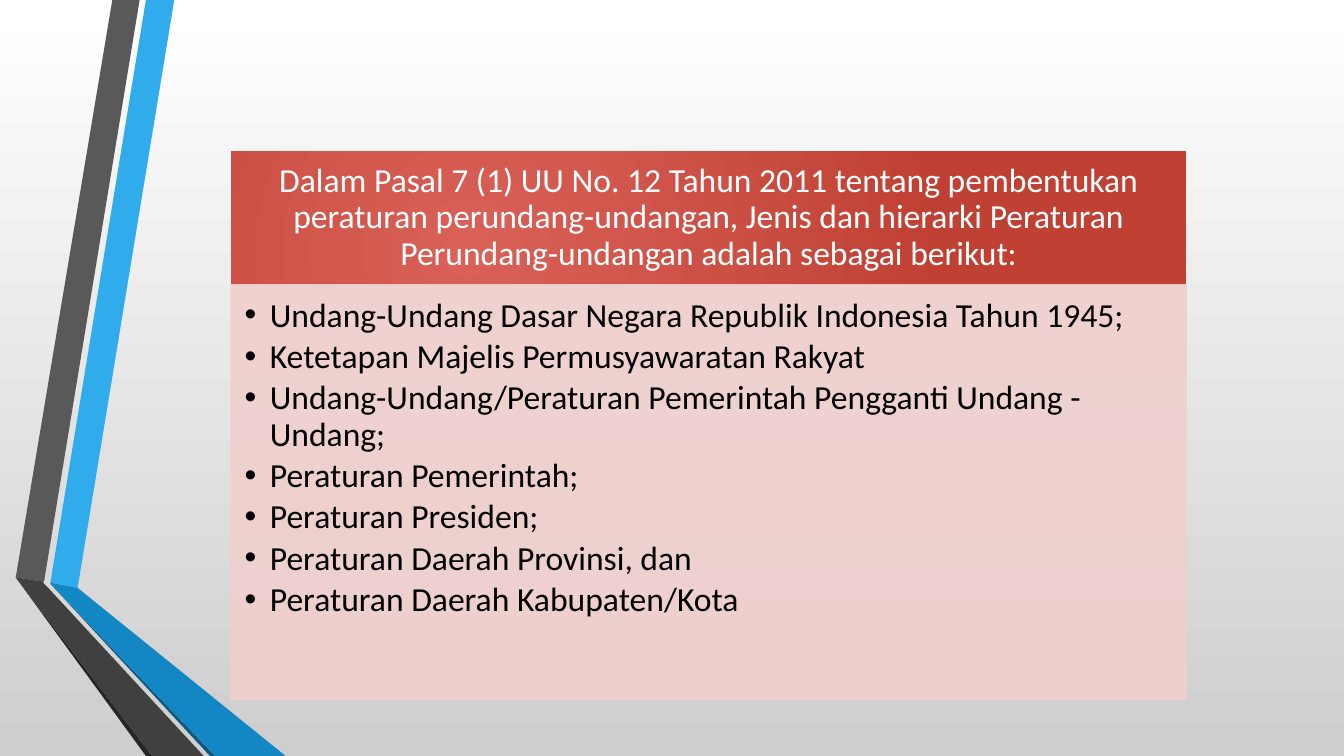
from dataclasses import dataclass

from lxml import etree
from pptx import Presentation
from pptx.dml.color import RGBColor
from pptx.enum.shapes import MSO_SHAPE
from pptx.enum.text import MSO_ANCHOR, MSO_AUTO_SIZE, PP_ALIGN
from pptx.oxml.ns import qn
from pptx.util import Pt

PX = 9525
SLIDE_WIDTH, SLIDE_HEIGHT = 1280, 720
TITLE_ONLY = 5
RECTANGLE = MSO_SHAPE.RECTANGLE
TOP, MIDDLE = MSO_ANCHOR.TOP, MSO_ANCHOR.MIDDLE
LEFT, CENTER = PP_ALIGN.LEFT, PP_ALIGN.CENTER
NO_AUTOFIT = MSO_AUTO_SIZE.NONE


@dataclass(frozen=True)
class Theme:
    """Colours and type used on the slide."""
    font: str = "Calibri"
    text_size: int = 24
    line_spacing: float = 0.9
    item_gap: float = 3.6
    background: tuple = ("FFFFFF", "CECECE")
    header: tuple = ("D96157", "C04033")
    header_text: str = "FFFFFF"
    body: str = "F0D0CE"
    body_opacity: int = 90
    body_text: str = "000000"


THEME = Theme()

RIBBONS = [
    ("30ACEC", [(48, 555), (74, 560), (166, 0), (139, 0)]),
    ("595959", [(133, 0), (107, 0), (15, 550), (42, 554)]),
    ("262626", [(15, 550), (139, 720), (145, 720)]),
    ("0C5A82", [(48, 556), (200, 720), (205, 720)]),
    ("1287C3", [(48, 555), (48, 556), (205, 720), (272, 720), (74, 560)]),
    ("404040", [(194, 720), (46, 560), (41, 555), (42, 554), (15, 550), (145, 720)]),
]

HEADING = (
    "Dalam Pasal 7 (1) UU No. 12 Tahun 2011 tentang pembentukan peraturan "
    "perundang-undangan, Jenis dan hierarki Peraturan Perundang-undangan "
    "adalah sebagai berikut:"
)
REGULATIONS = [
    "Undang-Undang Dasar Negara Republik Indonesia Tahun 1945;",
    "Ketetapan Majelis Permusyawaratan Rakyat",
    "Undang-Undang/Peraturan Pemerintah Pengganti Undang - Undang;",
    "Peraturan Pemerintah;",
    "Peraturan Presiden;",
    "Peraturan Daerah Provinsi, dan",
    "Peraturan Daerah Kabupaten/Kota",
]


def set_gradient(fill, colors):
    """Give a fill a two-colour gradient."""
    fill.gradient()
    for stop, color, position in zip(fill.gradient_stops, colors, (0, 1)):
        stop.color.rgb = RGBColor.from_string(color)
        stop.position = position


def make_radial(shape, focus):
    """Turn a shape's linear gradient into a circular one around a focus."""
    gradient = shape.element.spPr.find(qn("a:gradFill"))
    for linear in gradient.findall(qn("a:lin")):
        gradient.remove(linear)
    circle = etree.SubElement(gradient, qn("a:path"), {"path": "circle"})
    edges = {side: str(percent * 1000) for side, percent in zip("ltrb", focus)}
    etree.SubElement(circle, qn("a:fillToRect"), edges)


def set_opacity(shape, percent):
    """Make the solid fill and line of a shape translucent."""
    for color in shape.element.spPr.iter(qn("a:srgbClr")):
        etree.SubElement(color, qn("a:alpha"), {"val": str(percent * 1000)})


def format_text(shape, color, alignment, anchor, insets):
    """Apply the theme type, alignment and insets to a shape's text."""
    frame = shape.text_frame
    frame.word_wrap = True
    frame.auto_size = NO_AUTOFIT
    frame.vertical_anchor = anchor
    (frame.margin_left, frame.margin_top,
     frame.margin_right, frame.margin_bottom) = [inset * PX for inset in insets]
    for paragraph in frame.paragraphs:
        paragraph.alignment = alignment
        paragraph.line_spacing = THEME.line_spacing
        paragraph.space_before = Pt(0)
        for run in paragraph.runs:
            run.font.name = THEME.font
            run.font.size = Pt(THEME.text_size)
            run.font.color.rgb = RGBColor.from_string(color)


def add_bullet(paragraph, indent):
    """Give a paragraph a round bullet with a hanging indent."""
    properties = paragraph._p.get_or_add_pPr()
    properties.set("marL", str(indent * PX))
    properties.set("indent", str(-indent * PX))
    etree.SubElement(properties, qn("a:buFont"), {"typeface": "Arial"})
    etree.SubElement(properties, qn("a:buChar"), {"char": "•"})


def add_ribbons(slide, left, top):
    """Draw the folded ribbons relative to a corner."""
    for color, points in RIBBONS:
        corners = [(left + x, top + y) for x, y in points]
        builder = slide.shapes.build_freeform(*corners[0], scale=PX)
        builder.add_line_segments(corners[1:], close=True)
        ribbon = builder.convert_to_shape()
        ribbon.shadow.inherit = False
        ribbon.fill.solid()
        ribbon.fill.fore_color.rgb = RGBColor.from_string(color)
        ribbon.line.fill.background()


def place_header(slide, left, top, width, height):
    """Place the heading as a red banner in the given box."""
    header = slide.shapes.title
    header.left, header.top = left * PX, top * PX
    header.width, header.height = width * PX, height * PX
    set_gradient(header.fill, THEME.header)
    make_radial(header, (50, 100, 100, 50))
    header.text_frame.text = HEADING
    format_text(header, THEME.header_text, CENTER, MIDDLE, (18, 11, 18, 11))


def add_regulations(slide, left, top, width, height):
    """Add the pale panel with the bulleted regulations."""
    panel = slide.shapes.add_shape(
        RECTANGLE, left * PX, top * PX, width * PX, height * PX)
    panel.shadow.inherit = False
    panel.fill.solid()
    panel.fill.fore_color.rgb = RGBColor.from_string(THEME.body)
    panel.line.color.rgb = RGBColor.from_string(THEME.body)
    panel.line.width = Pt(0.75)
    set_opacity(panel, THEME.body_opacity)
    panel.text_frame.text = "\n".join(REGULATIONS)
    format_text(panel, THEME.body_text, LEFT, TOP, (13, 13, 18, 20))
    for paragraph in panel.text_frame.paragraphs:
        paragraph.space_after = Pt(THEME.item_gap)
        add_bullet(paragraph, 24)


def build_hierarchy_slide(presentation):
    """Build the slide on the hierarchy of regulations."""
    slide = presentation.slides.add_slide(presentation.slide_layouts[TITLE_ONLY])
    set_gradient(slide.background.fill, THEME.background)
    slide.background.fill.gradient_angle = 270
    left, top, width, header_height, body_height = 220, 144, 910, 127, 395
    add_ribbons(slide, 0, 0)
    place_header(slide, left, top, width, header_height)
    add_regulations(slide, left, top + header_height, width, body_height)


def main():
    """Create and save the presentation."""
    presentation = Presentation()
    presentation.slide_width = SLIDE_WIDTH * PX
    presentation.slide_height = SLIDE_HEIGHT * PX
    build_hierarchy_slide(presentation)
    presentation.save("out.pptx")


if __name__ == "__main__":
    main()
